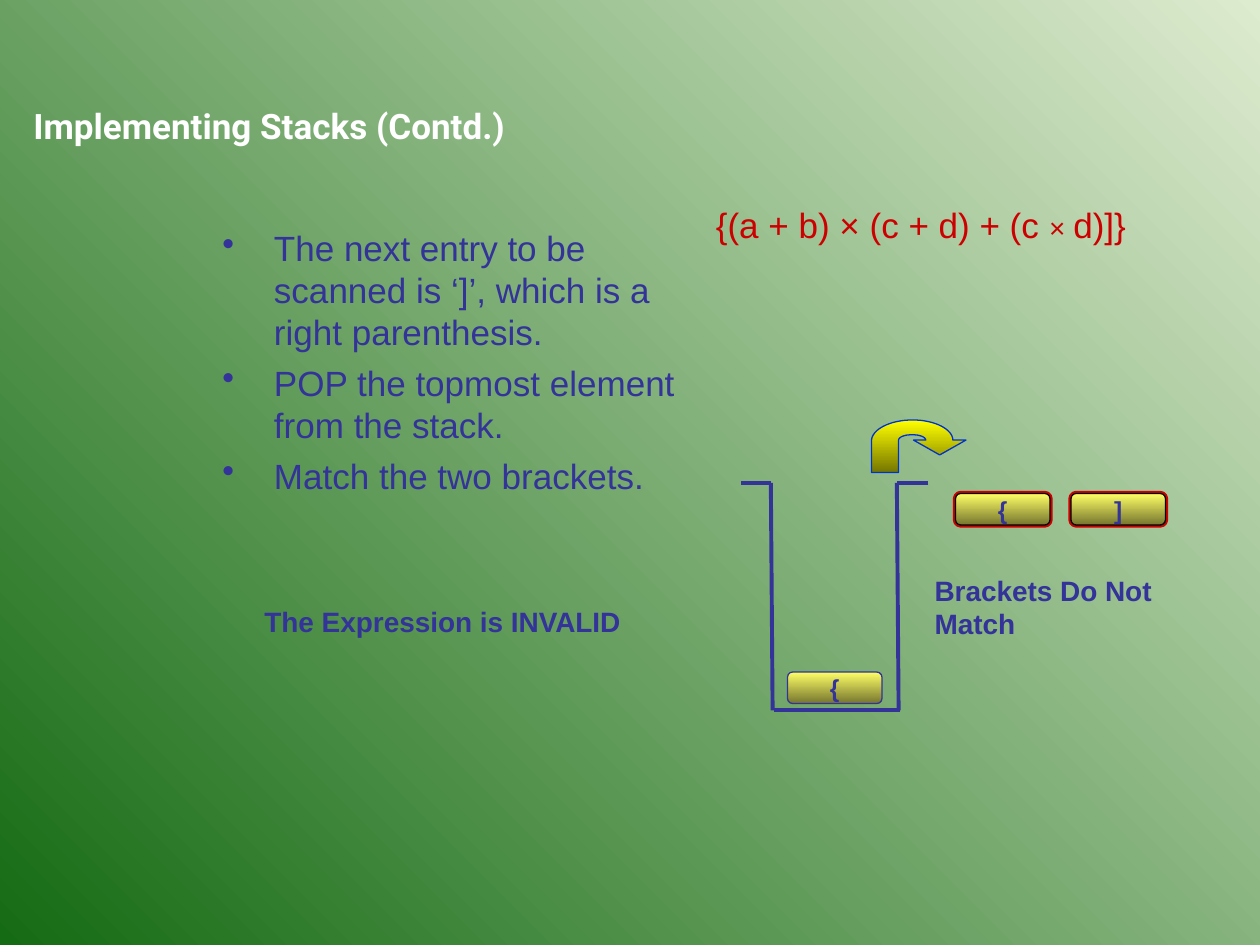
from lxml import etree
from pptx import Presentation
from pptx.dml.color import RGBColor
from pptx.enum.shapes import MSO_CONNECTOR, MSO_SHAPE
from pptx.enum.text import MSO_ANCHOR, PP_ALIGN
from pptx.oxml.ns import qn
from pptx.util import Pt

STRAIGHT = MSO_CONNECTOR.STRAIGHT
ROUNDED = MSO_SHAPE.ROUNDED_RECTANGLE
MIDDLE = MSO_ANCHOR.MIDDLE
CENTER = PP_ALIGN.CENTER

COLORS = {
    "mist": "DDEBCF", "forest": "156B13", "indigo": "333399", "red": "CC0000",
    "white": "FFFFFF", "black": "000000", "blue": "0033CC",
    "lemon": "FFFF66", "olive": "76762F", "yellow": "FFFF00", "moss": "767600",
}


def rgb(name):
    return RGBColor.from_string(COLORS[name])


def bezier(start, control1, control2, end, steps=16):
    points = []
    for step in range(1, steps + 1):
        t = step / steps
        u = 1 - t
        weights = (u ** 3, 3 * u * u * t, 3 * u * t * t, t ** 3)
        points.append(tuple(
            sum(w * c for w, c in zip(weights, axis))
            for axis in zip(start, control1, control2, end)))
    return points


class SlideBuilder:
    font = "Arial"
    ink = "indigo"

    def __init__(self, slide):
        self.slide = slide
        self.shapes = slide.shapes

    def gradient(self, fill, start, end, clockwise=90):
        fill.gradient()
        fill.gradient_angle = 360 - clockwise
        for stop, name in zip(fill.gradient_stops, (start, end)):
            stop.color.rgb = rgb(name)

    def background(self, start, end, clockwise):
        self.gradient(self.slide.background.fill, start, end, clockwise)

    def style(self, font, size, color=None, bold=False, name=None):
        font.name = name or self.font
        font.size = Pt(size)
        font.bold = bold
        font.color.rgb = rgb(color or self.ink)

    def outline(self, shape, color, width):
        shape.shadow.inherit = False
        shape.line.color.rgb = rgb(color)
        shape.line.width = Pt(width)

    def text_frame(self, left, top, width, height, wrap=True):
        box = self.shapes.add_textbox(Pt(left), Pt(top), Pt(width), Pt(height))
        box.text_frame.word_wrap = wrap
        return box.text_frame

    def label(self, text, left, top, width, height, size, wrap=True, **style):
        paragraph = self.text_frame(left, top, width, height, wrap).paragraphs[0]
        paragraph.text = text
        self.style(paragraph.font, size, **style)

    def expression(self, parts, left, top, width, height, color):
        paragraph = self.text_frame(left, top, width, height).paragraphs[0]
        self.style(paragraph.font, 20, color)
        for text, size in parts:
            run = paragraph.add_run()
            run.text = text
            run.font.size = Pt(size)

    def bullets(self, items, left, top, width, height, size, indent, gap):
        frame = self.text_frame(left, top, width, height)
        for index, item in enumerate(items):
            paragraph = frame.add_paragraph() if index else frame.paragraphs[0]
            paragraph.text = item
            properties = paragraph._p.get_or_add_pPr()
            properties.set("marL", str(Pt(indent)))
            properties.set("indent", str(-Pt(indent)))
            bullet_color = etree.SubElement(properties, qn("a:buClr"))
            etree.SubElement(bullet_color, qn("a:srgbClr"), val=COLORS[self.ink])
            etree.SubElement(properties, qn("a:buChar"), char="•")
            if index:
                paragraph.space_before = Pt(gap)
            self.style(paragraph.font, size)

    def line(self, start, end, width=2.25):
        edge = self.shapes.add_connector(STRAIGHT, *map(Pt, start + end))
        edge.line.color.rgb = rgb(self.ink)
        edge.line.width = Pt(width)
        etree.SubElement(edge._element.spPr, qn("a:effectLst"))

    def rounded(self, left, top, line, width):
        tile = self.shapes.add_shape(ROUNDED, Pt(left), Pt(top), Pt(54), Pt(18))
        self.outline(tile, line, width)
        return tile

    def halo(self, left, top):
        tile = self.rounded(left, top, "red", 3)
        tile.fill.solid()
        tile.fill.fore_color.rgb = rgb("white")

    def bracket(self, text, left, top, line):
        tile = self.rounded(left, top, line, 0.75)
        self.gradient(tile.fill, "lemon", "olive")
        frame = tile.text_frame
        frame.word_wrap = False
        frame.vertical_anchor = MIDDLE
        paragraph = frame.paragraphs[0]
        paragraph.text = text
        paragraph.alignment = CENTER
        self.style(paragraph.font, 14, bold=True)

    def outlined_path(self, points, line):
        start, *rest = [(Pt(x), Pt(y)) for x, y in points]
        builder = self.shapes.build_freeform(*start)
        builder.add_line_segments(rest, close=True)
        shape = builder.convert_to_shape()
        self.gradient(shape.fill, "yellow", "moss")
        self.outline(shape, line, 0.75)


def main():
    deck = Presentation()
    deck.slide_width, deck.slide_height = Pt(720), Pt(540)
    page = SlideBuilder(deck.slides.add_slide(deck.slide_layouts[6]))
    page.background("mist", "forest", 135)

    compared = [("{", 546), ("]", 612)]
    compared_top = 282
    for _, left in compared:
        page.halo(left, compared_top)

    page.bullets([
        "The next entry to be scanned is ‘]’, which is a right parenthesis.",
        "POP the topmost element from the stack.",
        "Match the two brackets.",
    ], 120, 126, 294, 360, size=20, indent=29.5, gap=5)

    rim, base = 276, 405.5
    for wall, lip in ((440.5, 423.5), (512.5, 530.5)):
        page.line((lip, rim), (wall, rim))
        page.line((wall, rim), (wall + 1, base + 0.5))
    page.line((442.5, base), (514.5, base))

    page.bracket("{", 450, 384, "indigo")
    for text, left in compared:
        page.bracket(text, left, compared_top, "black")

    pop_arrow = [
        (537, 260), (552, 251.5), (544.5, 251.5),
        *bezier((544.5, 251.5), (544.5, 245.5), (534.5, 240), (521.5, 240)),
        *bezier((521.5, 240), (508.5, 240), (498, 245.5), (498, 252)),
        (498, 270), (513.5, 270), (513.5, 251.5),
        *bezier((513.5, 251.5), (513.5, 250), (516.5, 248.5), (520.5, 248.5)),
        (522, 248.5),
        *bezier((522, 248.5), (526, 248.5), (529, 250), (529, 251.5)),
        (522, 251.5),
    ]
    page.outlined_path(pop_arrow, "blue")

    page.label("Brackets Do Not Match", 527, 324, 188.5, 26.5, 16,
               wrap=False, bold=True)
    page.label("The Expression is INVALID", 144, 342, 240, 26.5, 16, bold=True)
    page.expression([("{(a + b) × (c + d) + (c ", 20), ("× ", 16), ("d)]}", 20)],
                    402, 113, 264, 55.5, "red")
    page.label("Implementing Stacks (Contd.)", 12, 56, 540, 31.5, 20,
               color="white", bold=True, name="Roboto")

    deck.save("out.pptx")


if __name__ == "__main__":
    main()
